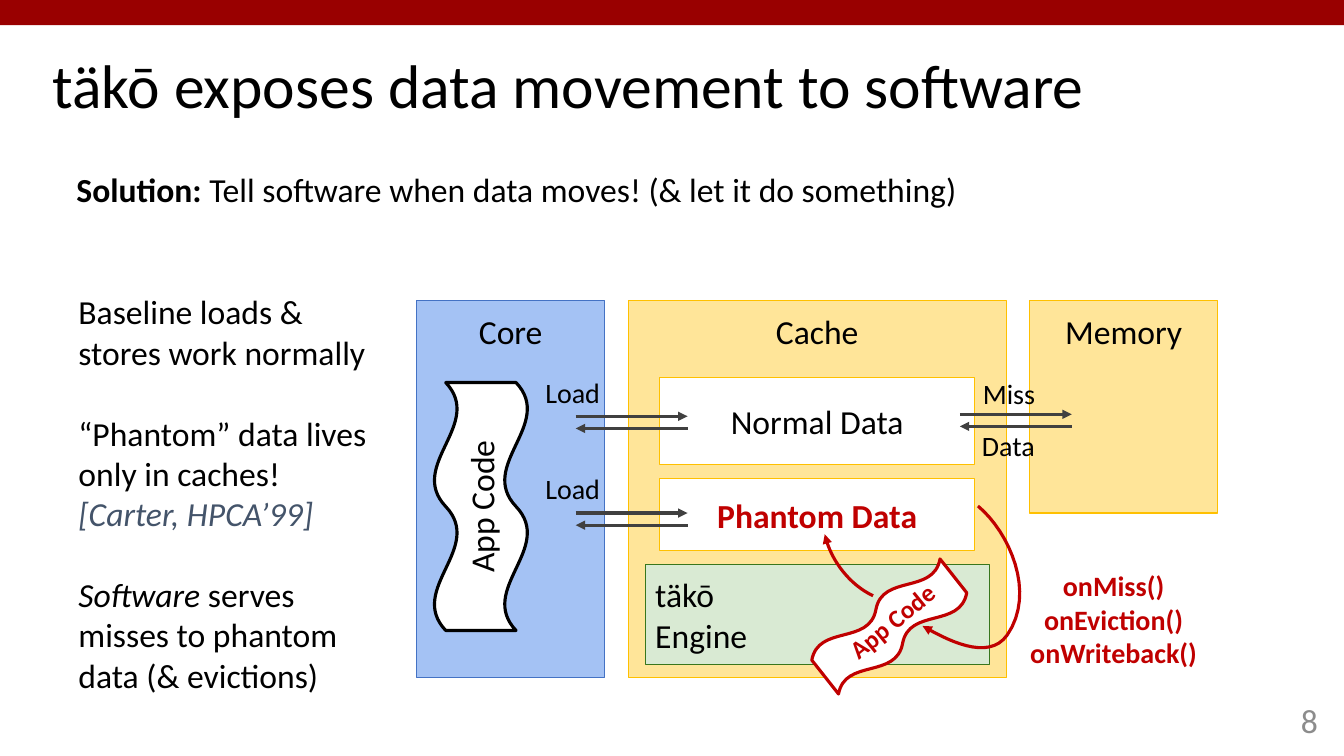
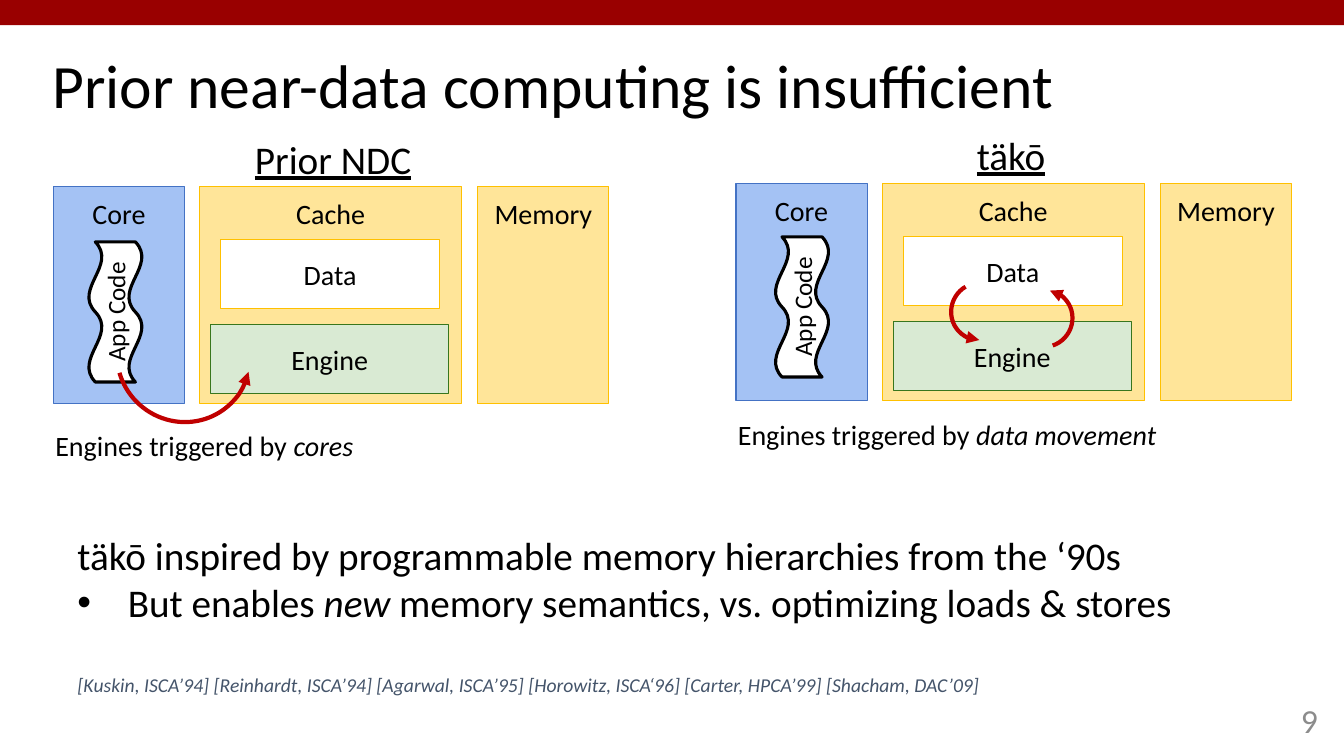
import pptx
import pptx.dml.color
import pptx.enum.shapes
import pptx.enum.text
import pptx.oxml
import pptx.oxml.ns
import pptx.util
from pptx.util import Inches

RGBColor = pptx.dml.color.RGBColor
SHAPE = pptx.enum.shapes.MSO_SHAPE
ALIGN = pptx.enum.text.PP_ALIGN
ANCHOR = pptx.enum.text.MSO_ANCHOR

FONT = "Calibri"
BLACK = RGBColor(0x00, 0x00, 0x00)
WHITE = RGBColor(0xFF, 0xFF, 0xFF)
BAND = RGBColor(0x99, 0x00, 0x00)
RED = RGBColor(0xC0, 0x00, 0x00)
GREY = RGBColor(0x8C, 0x8C, 0x8C)
ARROW_GREY = RGBColor(0x40, 0x40, 0x40)
SLATE = RGBColor(0x44, 0x54, 0x6A)
BLUE_FILL = RGBColor(0xA4, 0xC2, 0xF4)
BLUE_LINE = RGBColor(0x44, 0x72, 0xC4)
YELLOW_FILL = RGBColor(0xFF, 0xE5, 0x99)
YELLOW_LINE = RGBColor(0xFF, 0xC0, 0x00)
GREEN_FILL = RGBColor(0xD9, 0xEA, 0xD3)
GREEN_LINE = RGBColor(0x38, 0x76, 0x1D)

CORE = (BLUE_FILL, BLUE_LINE)
STORE = (YELLOW_FILL, YELLOW_LINE)
DATA = (WHITE, YELLOW_LINE)
ENGINE = (GREEN_FILL, GREEN_LINE)

ITALIC = {"italic": True}
BOLD = {"bold": True}
CITATION = {"italic": True, "color": SLATE}
RED_BOLD = {"bold": True, "color": RED}
CENTER_TOP = {"align": ALIGN.CENTER, "inset": 0.1}
CENTER_MIDDLE = {**CENTER_TOP, "anchor": ANCHOR.MIDDLE}
ARC_START, ARC_END = 241.16, 31.4

SOLUTION = [[("Solution:", BOLD), " Tell software when data moves! (& let it do something)"]]
EXPLANATION = [
    "Baseline loads &",
    "stores work normally",
    "“Phantom” data lives",
    "only in caches!",
    [("[Carter, HPCA’99]", CITATION)],
    [("Software", ITALIC), " serves"],
    "misses to phantom",
    "data (& evictions)",
]
SYSTEM_BOXES = [
    ("Cache", (6.23, 2.98, 3.75, 3.74), STORE, CENTER_TOP),
    ("Memory", (10.21, 2.98, 1.87, 2.11), STORE, CENTER_TOP),
    ("Core", (4.13, 2.98, 1.87, 3.74), CORE, CENTER_TOP),
    ("Phantom Data", (6.54, 4.75, 3.13, 0.71), DATA, {**CENTER_MIDDLE, **RED_BOLD}),
    (["täkō", "Engine"], (6.4, 5.6, 3.41, 0.99), ENGINE, {**CENTER_MIDDLE, "align": ALIGN.LEFT}),
    ("Normal Data", (6.54, 3.75, 3.13, 0.86), DATA, CENTER_MIDDLE),
]
EXCHANGES = [(9.52, 4.11), (5.71, 4.13), (5.71, 5.09)]
EXCHANGE_LABELS = [("Miss", 9.65, 3.64), ("Data", 9.64, 4.15), ("Load", 5.31, 3.63), ("Load", 5.31, 4.58)]
CALLBACKS = ["onMiss()", "onEviction()", "onWriteback()"]
CALLBACK_CURVE = [
    (9.7, 5.02), (10.01, 5.28), (10.28, 5.88), (9.99, 6.3),
    (9.8, 6.57), (9.38, 6.34), (9.15, 6.21),
]
SERVE_CURVE = [(8.66, 5.91), (8.44, 5.81), (8.24, 5.57), (8.18, 5.3)]

PANEL_BOXES = [
    ("Cache", (1.45, 0, 2.6, 2.15), STORE, CENTER_TOP),
    ("Memory", (4.21, 0, 1.3, 2.15), STORE, CENTER_TOP),
    ("Core", (0, 0, 1.3, 2.15), CORE, CENTER_TOP),
    ("Engine", (1.56, 1.37, 2.36, 0.68), ENGINE, CENTER_MIDDLE),
    ("Data", (1.66, 0.53, 2.17, 0.68), DATA, CENTER_MIDDLE),
]
PANELS = [
    {
        "origin": (0.53, 1.85),
        "heading": ("Prior NDC", (2.43, 1.29, 1.89, 0.57)),
        "caption": ("cores", (0.45, 4.2, 3.44, 0.44)),
        "code": (0.45, 2.83, 1.39, 0.53),
        "arcs": [((1.15, 2.87, 1.34, 1.31), 45.8)],
    },
    {
        "origin": (7.3, 1.82),
        "heading": ("täkō", (9.59, 1.25, 0.93, 0.57)),
        "caption": ("data movement", (7.22, 4.09, 4.64, 0.44)),
        "code": (7.26, 2.78, 1.39, 0.53),
        "arcs": [((9.43, 2.81, 0.57, 0.56), 121.8), ((10.07, 2.88, 0.57, 0.56), 313.3)],
    },
]
HISTORY = [
    "täkō inspired by programmable memory hierarchies from the ‘90s",
    ["But enables ", ("new ", ITALIC), "memory semantics, vs. optimizing loads & stores"],
    [(
        "[Kuskin, ISCA’94] [Reinhardt, ISCA’94] [Agarwal, ISCA’95] "
        "[Horowitz, ISCA‘96] [Carter, HPCA’99] [Shacham, DAC’09]",
        {**CITATION, "size": 14},
    )],
]


def inches(values):
    return [Inches(value) for value in values]


def add_xml(parent, tag, **attributes):
    element = pptx.oxml.parse_xml(f"<a:{tag} {pptx.oxml.ns.nsdecls('a')}/>")
    for name, value in attributes.items():
        element.set(name, value)
    parent.append(element)


def write_text(frame, content, size=24, color=BLACK, bold=False, italic=False, underline=False,
               align=ALIGN.LEFT, anchor=ANCHOR.TOP, inset=0.05, line_spacing=None, gaps=None, bullets=()):
    frame.word_wrap = True
    frame.auto_size = pptx.enum.text.MSO_AUTO_SIZE.NONE
    frame.vertical_anchor = anchor
    frame.margin_left = frame.margin_right = Inches(0.1)
    frame.margin_top = frame.margin_bottom = Inches(inset)
    base = {"size": size, "color": color, "bold": bold, "italic": italic, "underline": underline}
    for index, line in enumerate([content] if isinstance(content, str) else content):
        paragraph = frame.add_paragraph() if index else frame.paragraphs[0]
        paragraph.alignment = align
        paragraph.line_spacing = line_spacing
        paragraph.space_before = pptx.util.Pt((gaps or {}).get(index, 0))
        if index in bullets:
            properties = paragraph._p.get_or_add_pPr()
            properties.set("marL", str(Inches(0.5)))
            properties.set("indent", str(-Inches(0.5)))
            add_xml(properties, "buFont", typeface="Arial")
            add_xml(properties, "buChar", char="•")
        for part in [line] if isinstance(line, str) else line:
            text, changes = (part, {}) if isinstance(part, str) else part
            style = {**base, **changes}
            run = paragraph.add_run()
            run.text = text
            run.font.name = FONT
            run.font.size = pptx.util.Pt(style["size"])
            run.font.color.rgb = style["color"]
            run.font.bold = style["bold"]
            run.font.italic = style["italic"]
            run.font.underline = style["underline"]


def add_label(slide, content, box, rotation=0, **text_format):
    shape = slide.shapes.add_textbox(*inches(box))
    shape.rotation = rotation
    write_text(shape.text_frame, content, **text_format)


def style_line(shape, color, width, arrow=False):
    shape.line.color.rgb = color
    shape.line.width = pptx.util.Pt(width)
    if arrow:
        add_xml(shape.line._get_or_add_ln(), "tailEnd", type="triangle")


def add_box(slide, content, box, colors, kind=SHAPE.RECTANGLE, line_width=0.75, rotation=0, **text_format):
    fill, line = colors
    shape = slide.shapes.add_shape(kind, *inches(box))
    shape.shadow.inherit = False
    shape.rotation = rotation
    shape.fill.solid()
    shape.fill.fore_color.rgb = fill
    style_line(shape, line, line_width)
    if content:
        write_text(shape.text_frame, content, **text_format)
    return shape


def add_code_wave(slide, content, box, color=BLACK, rotation=270, **text_format):
    wave = add_box(slide, content, box, (WHITE, color), SHAPE.DOUBLE_WAVE, 2.25, rotation,
                   **CENTER_MIDDLE, **text_format)
    wave.adjustments[0] = 0.125
    wave.adjustments[1] = 0


def add_arrow(slide, start, end):
    connector = slide.shapes.add_connector(pptx.enum.shapes.MSO_CONNECTOR.STRAIGHT, *inches(start + end))
    style_line(connector, ARROW_GREY, 2.25, arrow=True)
    add_xml(connector._element.spPr, "effectLst")


def add_exchange(slide, left, top, length=1.11, gap=0.12):
    right = left + length
    add_arrow(slide, (left, top), (right, top))
    add_arrow(slide, (right, top + gap), (left, top + gap))


def bezier_point(controls, t):
    weights = ((1 - t) ** 3, 3 * t * (1 - t) ** 2, 3 * t ** 2 * (1 - t), t ** 3)
    return tuple(Inches(sum(w * point[axis] for w, point in zip(weights, controls))) for axis in (0, 1))


def add_curve(slide, controls, steps=16):
    points = [
        bezier_point(controls[first:first + 4], step / steps)
        for first in range(0, len(controls) - 1, 3)
        for step in range(1, steps + 1)
    ]
    builder = slide.shapes.build_freeform(*inches(controls[0]))
    builder.add_line_segments(points, close=False)
    curve = builder.convert_to_shape()
    curve.shadow.inherit = False
    curve.fill.background()
    style_line(curve, RED, 2.25, arrow=True)


def add_arc(slide, box, rotation):
    arc = slide.shapes.add_shape(SHAPE.ARC, *inches(box))
    arc.shadow.inherit = False
    for index, degrees in enumerate((ARC_START, ARC_END)):
        arc.adjustments[index] = degrees * 0.6
    arc.rotation = rotation
    arc._element.spPr.xfrm.set("flipV", "1")
    arc.fill.background()
    style_line(arc, RED, 3, arrow=True)


def add_band(slide, layout):
    band = add_box(slide, "", (0, 0, 13.33, 0.25), (BAND, BAND))
    band.line.fill.background()
    layout.shapes.element.append(band._element)


def add_slide(presentation, layout, title, number):
    slide = presentation.slides.add_slide(layout)
    placeholder = slide.shapes.title
    placeholder.left, placeholder.top, placeholder.width, placeholder.height = inches((0.42, 0.45, 12.84, 0.85))
    write_text(placeholder.text_frame, title, size=44, anchor=ANCHOR.MIDDLE, line_spacing=0.9)
    add_label(slide, str(number), (12.09, 6.94, 1.08, 0.4), color=GREY, align=ALIGN.RIGHT, anchor=ANCHOR.MIDDLE)
    return slide


def fill_solution_slide(slide):
    for content, box, colors, text_format in SYSTEM_BOXES:
        add_box(slide, content, box, colors, **text_format)
    for left, top in EXCHANGES:
        add_exchange(slide, left, top)
    for content, left, top in EXCHANGE_LABELS:
        add_label(slide, content, (left, top, 1.07, 0.54), size=20, inset=0.1)
    add_code_wave(slide, "App Code", (3.54, 4.56, 2.46, 0.93))
    add_curve(slide, CALLBACK_CURVE)
    add_label(slide, CALLBACKS, (9.8, 5.54, 2.49, 1.21), size=20, **RED_BOLD, **CENTER_TOP)
    add_code_wave(slide, "", (8.01, 5.93, 1.62, 0.57), color=RED, rotation=321.7)
    add_label(slide, "App Code", (7.98, 5.91, 1.73, 0.5), rotation=320.8, size=18, **RED_BOLD, **CENTER_TOP)
    add_curve(slide, SERVE_CURVE)
    add_label(slide, SOLUTION, (0.66, 1.63, 10.79, 0.65))
    add_label(slide, EXPLANATION, (0.68, 2.84, 3.17, 4.36), gaps={2: 29, 5: 29})


def fill_comparison_slide(slide):
    for panel in PANELS:
        origin_left, origin_top = panel["origin"]
        for content, (left, top, width, height), colors, text_format in PANEL_BOXES:
            box = (origin_left + left, origin_top + top, width, height)
            add_box(slide, content, box, colors, size=20, **text_format)
        add_code_wave(slide, "App Code", panel["code"], size=18)
        for box, rotation in panel["arcs"]:
            add_arc(slide, box, rotation)
        trigger, box = panel["caption"]
        add_label(slide, [["Engines triggered by ", (trigger, ITALIC)]], box, size=20)
        heading, box = panel["heading"]
        add_label(slide, heading, box, size=28, underline=True)
    add_label(slide, HISTORY, (0.67, 5.22, 12.17, 1.75), size=28, gaps={2: 34}, bullets=(1,))


def main():
    presentation = pptx.Presentation()
    presentation.slide_width, presentation.slide_height = inches((13.33, 7.5))
    layout = presentation.slide_layouts[5]
    solution = add_slide(presentation, layout, "täkō exposes data movement to software", 8)
    add_band(solution, layout)
    fill_solution_slide(solution)
    comparison = add_slide(presentation, layout, "Prior near-data computing is insufficient", 9)
    fill_comparison_slide(comparison)
    presentation.save("out.pptx")


if __name__ == "__main__":
    main()
